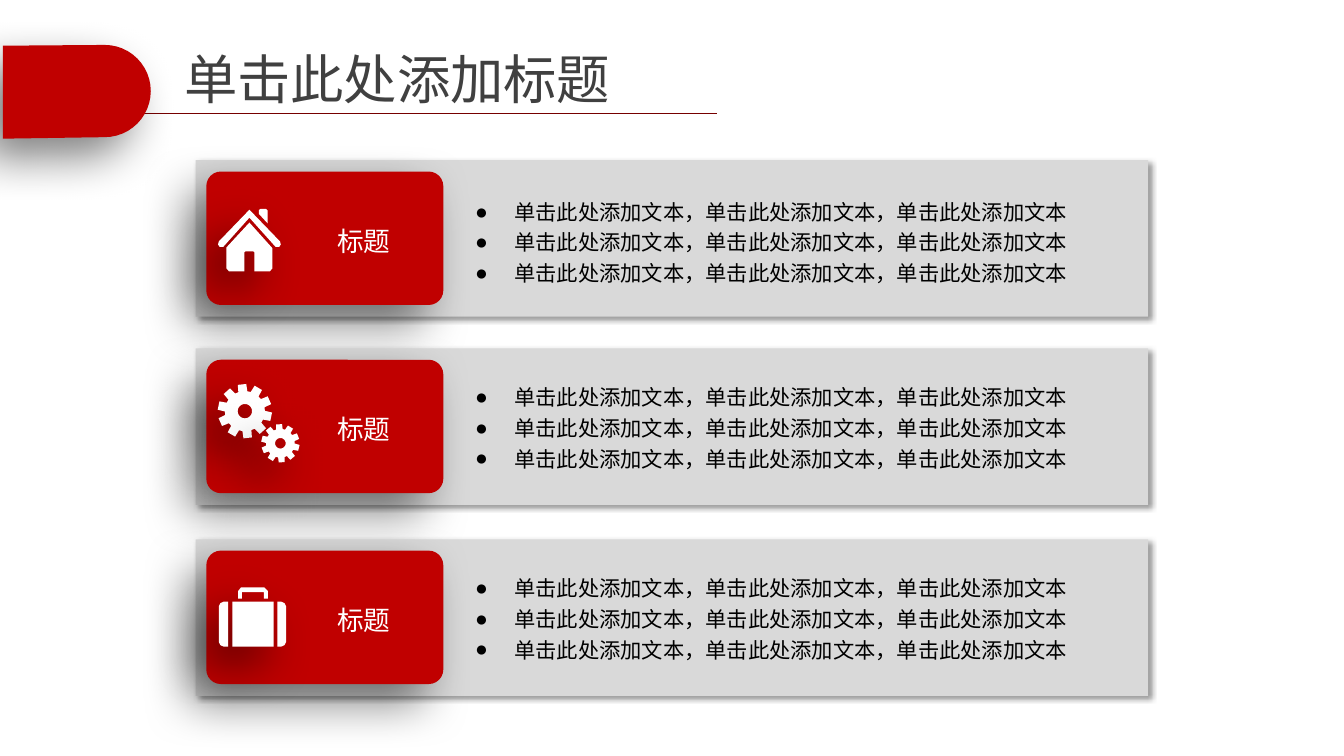
import math

from lxml import etree
from pptx import Presentation
from pptx import util as u
from pptx.dml.color import RGBColor
from pptx.enum import shapes, text
from pptx.oxml import ns

Cm = u.Cm
COLORS = {"red": "C00000", "panel": "D9D9D9", "rule": "760000", "title": "404040",
          "body": "000000", "white": "FFFFFF", "shadow": "000000"}
CJK = "Noto Sans CJK SC"
# Opacity %, blur pt, distance pt, direction in degrees
DEEP_SHADOW = (50, 35, 20, 135)
EDGE_SHADOW = (40, 4, 3, 45)

LABEL = "标题"
BULLETS = ["单击此处添加文本，单击此处添加文本，单击此处添加文本"] * 3

# Icon outlines in cm, from the top left of each icon
HOUSE = [
    [(1.09, 0.13), (1.09, 0.03), (1.13, 0), (1.28, 0), (1.32, 0.04), (1.32, 0.38)],
    [(0.84, 0.02), (1.65, 0.86), (1.67, 0.94), (1.63, 1), (1.53, 1), (0.84, 0.23),
     (0.15, 1), (0.05, 1), (0.01, 0.94), (0.03, 0.86)],
    [(0.23, 1.02), (0.23, 1.57), (0.3, 1.65), (0.71, 1.65), (0.71, 1.14), (0.74, 1.12),
     (0.94, 1.12), (0.97, 1.14), (0.97, 1.65), (1.38, 1.65), (1.45, 1.57), (1.45, 1.04),
     (0.84, 0.36)],
]
SUITCASE = [
    [(0.61, 0.13), (1.19, 0.13), (1.19, 0.3), (1.3, 0.3), (1.3, 0.1), (1.2, 0),
     (0.59, 0), (0.51, 0.1), (0.51, 0.3), (0.61, 0.3)],
    [(0, 0.5), (0.04, 0.42), (0.13, 0.38), (0.25, 0.38), (0.25, 1.57), (0.13, 1.57),
     (0.04, 1.53), (0, 1.45)],
    [(0.36, 0.38), (1.45, 0.38), (1.45, 1.57), (0.36, 1.57)],
    [(1.55, 0.38), (1.65, 0.38), (1.74, 0.42), (1.78, 0.5), (1.78, 1.45), (1.74, 1.53),
     (1.65, 1.57), (1.55, 1.57)],
]


def arc(cx, cy, radius, start, end, steps=24):
    angles = [math.radians(start + (end - start) * i / steps) for i in range(steps + 1)]
    return [(cx + radius * math.cos(a), cy + radius * math.sin(a)) for a in angles]


def gear(cx, cy, tip, root, hole, turn):
    """Ten teeth round a hole that runs the other way."""
    corners = [(root, -13), (tip, -9), (tip, 9), (root, 13)]
    rim = []
    for tooth in range(10):
        for radius, offset in corners:
            rim += arc(cx, cy, radius, turn + 36 * tooth + offset, 0, 1)[:1]
    return [rim, arc(cx, cy, hole, 360, 0)]


def set_all(target, values):
    for name, value in values.items():
        setattr(target, name, value)


def paint(shape, color, shadow):
    shape.fill.solid()
    shape.fill.fore_color.rgb = RGBColor.from_string(COLORS[color])
    shape.line.fill.background()
    shape.shadow.inherit = False
    opacity, blur, distance, direction = shadow
    effects = shape._element.spPr.find(ns.qn("a:effectLst"))
    outer = etree.SubElement(effects, ns.qn("a:outerShdw"), {
        "blurRad": str(u.Pt(blur)), "dist": str(u.Pt(distance)),
        "dir": str(direction * 60000), "algn": "ctr", "rotWithShape": "0"})
    tint = etree.SubElement(outer, ns.qn("a:srgbClr"), val=COLORS["shadow"])
    etree.SubElement(tint, ns.qn("a:alpha"), val=str(opacity * 1000))


def add_block(slide, box, radius, color, shadow):
    block = slide.shapes.add_shape(shapes.MSO_SHAPE.ROUNDED_RECTANGLE, *map(Cm, box))
    block.adjustments[0] = radius
    paint(block, color, shadow)


def add_outline(slide, left, top, contours, color):
    builder = None
    for contour in contours:
        points = [(Cm(left + x), Cm(top + y)) for x, y in contour]
        if builder is None:
            builder = slide.shapes.build_freeform(*points[0])
        else:
            builder.move_to(*points[0])
        builder.add_line_segments(points[1:], close=True)
    paint(builder.convert_to_shape(), color, DEEP_SHADOW)


def style_font(font, name, size, color):
    set_all(font, {"name": name, "size": u.Pt(size)})
    font.color.rgb = RGBColor.from_string(COLORS[color])


def add_run(paragraph, words, size, color):
    run = paragraph.add_run()
    run.text = words
    style_font(run.font, CJK, size, color)
    etree.SubElement(run._r.get_or_add_rPr(), ns.qn("a:ea"), typeface=CJK)


def add_header(slide, left, top):
    # Rule under the title, then the red tab over its left end
    rule = slide.shapes.add_connector(shapes.MSO_CONNECTOR.STRAIGHT, Cm(left + 2.26),
                                      Cm(top + 1.82), Cm(left + 18.89), Cm(top + 1.82))
    rule.line.width = u.Pt(0.75)
    rule.line.color.rgb = RGBColor.from_string(COLORS["rule"])
    etree.SubElement(rule._element.spPr, ns.qn("a:effectLst"))
    tab = [(0, 0.02)] + arc(2.69, 1.22, 1.22, -90, 90) + [(0, 2.48)]
    add_outline(slide, left, top, [tab], "red")

    title = slide.shapes.title
    set_all(title, {"left": Cm(left + 4.49), "top": Cm(top - 0.38),
                    "width": Cm(24.05), "height": Cm(2.51)})
    frame = title.text_frame
    frame.text = "单击此处添加标题"
    set_all(frame, {"vertical_anchor": text.MSO_ANCHOR.MIDDLE,
                    "margin_left": Cm(0.3), "margin_right": Cm(0.3),
                    "margin_top": Cm(0.15), "margin_bottom": Cm(0.15)})
    heading = frame.paragraphs[0]
    heading.alignment = text.PP_ALIGN.LEFT
    style_font(heading.runs[0].font, "Arial", 40, "title")


def add_card(slide, left, top, icons, icon_x, icon_y):
    add_block(slide, (left, top, 6.27, 3.53), 0.109, "red", DEEP_SHADOW)
    for icon in icons:
        add_outline(slide, left + icon_x, top + icon_y, icon, "white")
    label = slide.shapes.add_textbox(Cm(left + 2.44), Cm(top + 1.02), Cm(3.45), Cm(1.6))
    set_all(label.text_frame, {"word_wrap": True,
                               "vertical_anchor": text.MSO_ANCHOR.MIDDLE})
    paragraph = label.text_frame.paragraphs[0]
    paragraph.alignment = text.PP_ALIGN.CENTER
    add_run(paragraph, LABEL, 20, "white")


def add_bullets(slide, left, top):
    frame = slide.shapes.add_textbox(Cm(left), Cm(top), Cm(16.54), Cm(2.79)).text_frame
    set_all(frame, {"word_wrap": True, "margin_left": Cm(0.33), "margin_right": Cm(0.33),
                    "margin_top": Cm(0.18), "margin_bottom": Cm(0.18)})
    for i, words in enumerate(BULLETS):
        paragraph = frame.add_paragraph() if i else frame.paragraphs[0]
        props = paragraph._p.get_or_add_pPr()
        props.set("marL", str(Cm(1.04)))
        props.set("indent", str(-Cm(1.04)))
        etree.SubElement(props, ns.qn("a:buFont"), typeface="Arial")
        etree.SubElement(props, ns.qn("a:buChar"), char="●")
        paragraph.line_spacing = 1.2
        add_run(paragraph, words, 16, "body")


def add_row(slide, left, top, text_y, icon):
    add_block(slide, (left, top, 25.2, 4.14), 0, "panel", EDGE_SHADOW)
    add_card(slide, left + 0.28, top + 0.3, *icon)
    add_bullets(slide, left + 7.06, top + text_y)


def main():
    deck = Presentation()
    width = Cm(35.56)
    set_all(deck, {"slide_width": width, "slide_height": width * 9 // 16})
    slide = deck.slides.add_slide(deck.slide_layouts[5])
    add_header(slide, 0.08, 1.19)

    gears = [gear(0.69, 0.75, 0.72, 0.53, 0.19, 12), gear(1.63, 1.6, 0.51, 0.38, 0.14, 14)]
    # Row top, text offset, icon with its place on the card
    rows = [(4.24, 0.71, ([HOUSE], 0.3, 0.99)),
            (9.22, 0.64, (gears, 0.33, 0.61)),
            (14.27, 0.64, ([SUITCASE], 0.33, 0.97))]
    for top, text_y, icon in rows:
        add_row(slide, 5.18, top, text_y, icon)
    deck.save("out.pptx")


if __name__ == "__main__":
    main()
